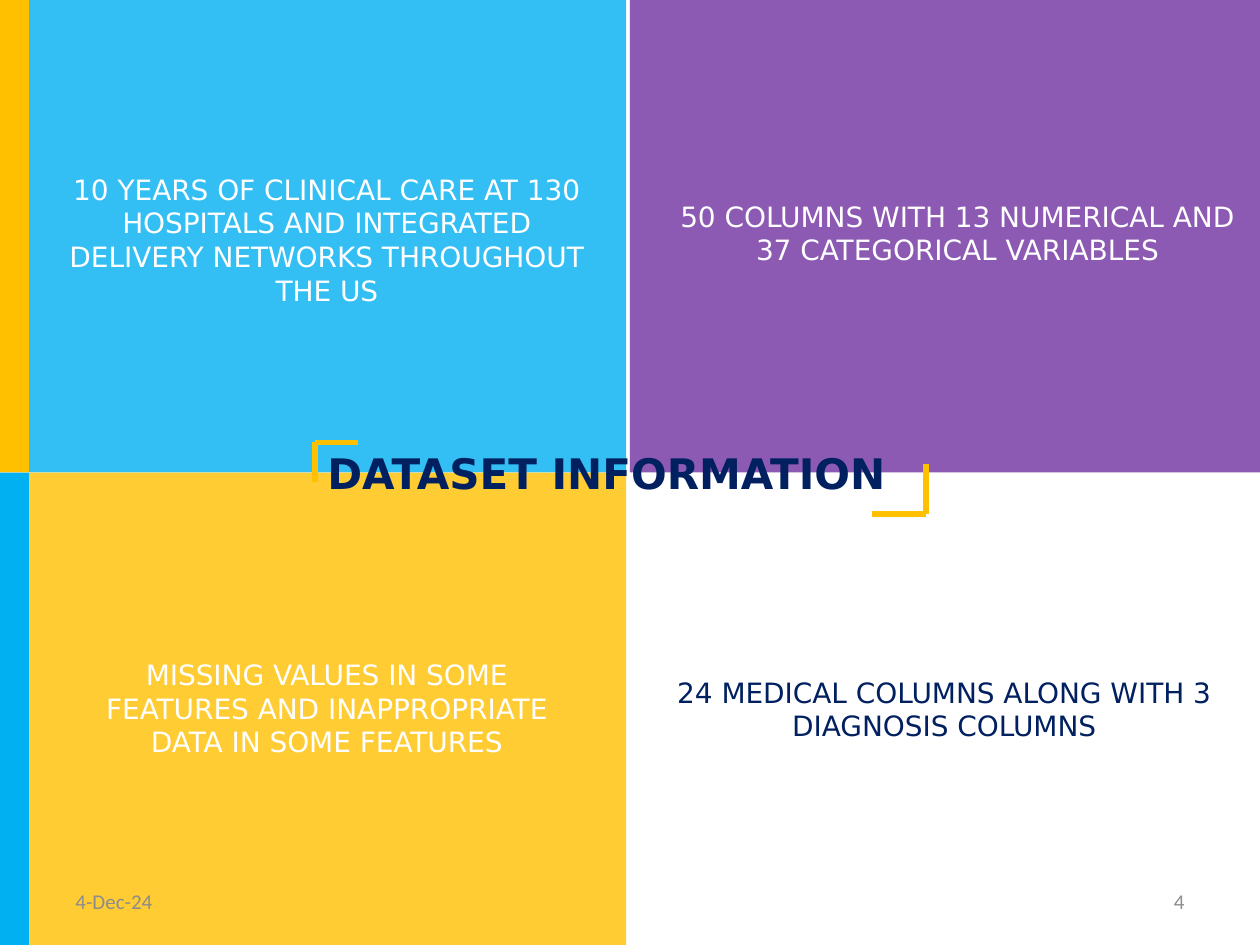
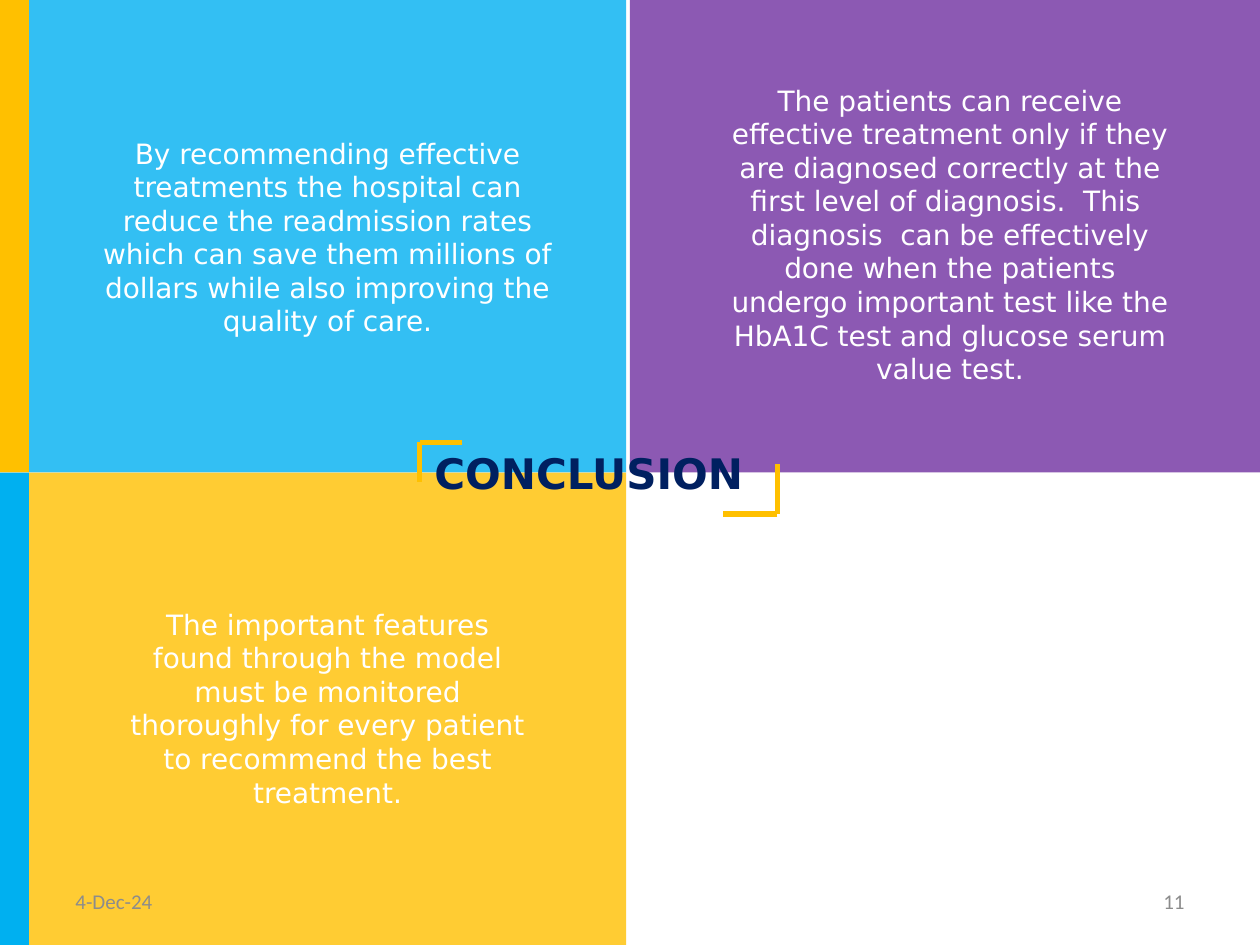
from lxml import etree
from pptx import Presentation
from pptx.dml.color import RGBColor
from pptx.enum.shapes import MSO_CONNECTOR, MSO_SHAPE
from pptx.enum.text import MSO_ANCHOR, PP_ALIGN
from pptx.oxml.ns import qn
from pptx.util import Pt

RECTANGLE = MSO_SHAPE.RECTANGLE
STRAIGHT = MSO_CONNECTOR.STRAIGHT
LEFT, CENTER, RIGHT = PP_ALIGN.LEFT, PP_ALIGN.CENTER, PP_ALIGN.RIGHT
TOP, MIDDLE = MSO_ANCHOR.TOP, MSO_ANCHOR.MIDDLE

# Shared look
AMBER, BLUE, PURPLE = "FFC000", "00B0F0", "7030A0"
NAVY, WHITE, GRAY = "002060", "FFFFFF", "8C8C8C"
BODY_FONT, FOOTER_FONT = "DejaVu Sans", "Calibri"

# Shared grid, in points
WIDTH, HEIGHT = 720, 540
HALF_WIDTH, HALF_HEIGHT = WIDTH / 2, HEIGHT / 2
BAND_WIDTH = 16.56
LEFT_PANEL_WIDTH = 341.28
TITLE_TOP, TITLE_HEIGHT = 252, 36
BRACKET_TOP, BRACKET_BOTTOM = 252.7, 293.8
FOOTER_MARGIN, FOOTER_TOP, FOOTER_WIDTH, FOOTER_HEIGHT = 36, 500.4, 168, 28.8
DATE = "4-Dec-24"

# Title and notes of each slide; boxes are left, top, width, height
SLIDES = [
    {
        "title": "DATASET INFORMATION", "title_left": 180, "title_width": 378,
        "bracket_left": 180, "bracket_right": 529.2, "number": "4",
        "notes": [
            ("10 YEARS OF CLINICAL CARE AT 130 HOSPITALS AND INTEGRATED "
             "DELIVERY NETWORKS THROUGHOUT THE US",
             WHITE, (26.6, 95, 320.4, 85)),
            ("50 COLUMNS WITH 13 NUMERICAL AND 37 CATEGORICAL VARIABLES",
             WHITE, (374.4, 110.2, 345.6, 46)),
            ("MISSING VALUES IN SOME FEATURES AND INAPPROPRIATE DATA IN "
             "SOME FEATURES",
             WHITE, (33.8, 372.2, 306, 65.5)),
            ("24 MEDICAL COLUMNS ALONG WITH 3 DIAGNOSIS COLUMNS",
             NAVY, (379.4, 382.3, 320.4, 46)),
        ],
    },
    {
        "title": "CONCLUSION", "title_left": 241.2, "title_width": 328.3,
        "bracket_left": 239.8, "bracket_right": 444.2, "number": "11",
        "notes": [
            ("By recommending effective treatments the hospital can reduce "
             "the readmission rates which can save them millions of dollars "
             "while also improving the quality of care.",
             WHITE, (46.1, 74.2, 282.2, 123.8)),
            ("The patients can receive effective treatment only if they are "
             "diagnosed correctly at the first level of diagnosis.  This  "
             "diagnosis  can be effectively done when the patients undergo "
             "important test like the HbA1C test and glucose serum value test.",
             WHITE, (406.1, 43.9, 273.6, 181.4)),
            ("The important features found through the model must be "
             "monitored thoroughly for every patient to recommend the best "
             "treatment.",
             WHITE, (64.1, 343.4, 246.2, 123.8)),
        ],
    },
]


def set_color(color_format, hex_color):
    color_format.rgb = RGBColor.from_string(hex_color)


def add_panel(slide, box, color, opacity=100):
    shape = slide.shapes.add_shape(RECTANGLE, *map(Pt, box))
    shape.shadow.inherit = False
    shape.line.fill.background()
    shape.fill.solid()
    set_color(shape.fill.fore_color, color)
    if opacity < 100:
        color_element = shape.fill._xPr.find(".//" + qn("a:srgbClr"))
        alpha = etree.SubElement(color_element, qn("a:alpha"))
        alpha.set("val", str(opacity * 1000))


def add_text(slide, text, box, size, color, font=BODY_FONT, bold=False,
             align=LEFT, anchor=TOP):
    frame = slide.shapes.add_textbox(*map(Pt, box)).text_frame
    frame.word_wrap = True
    frame.vertical_anchor = anchor
    paragraph = frame.paragraphs[0]
    paragraph.text = text
    paragraph.alignment = align
    paragraph.font.name = font
    paragraph.font.size = Pt(size)
    paragraph.font.bold = bold
    set_color(paragraph.font.color, color)


def add_bracket(slide, x, y, across, down):
    """Draw two arms that meet at the corner (x, y)."""
    group = slide.shapes.add_group_shape()
    for end_x, end_y in ((x, y + down), (x + across, y)):
        arm = group.shapes.add_connector(STRAIGHT, *map(Pt, (x, y, end_x, end_y)))
        arm.line.width = Pt(3)
        set_color(arm.line.color, AMBER)
        properties = arm._element.find(qn("p:spPr"))
        etree.SubElement(properties, qn("a:effectLst"))


def add_background(slide):
    # Translucent quadrants
    add_panel(slide, (HALF_WIDTH, 0, HALF_WIDTH, HALF_HEIGHT), PURPLE, 80)
    for top, panel_color, band_color in ((0, BLUE, AMBER),
                                         (HALF_HEIGHT, AMBER, BLUE)):
        add_panel(slide, (BAND_WIDTH, top, LEFT_PANEL_WIDTH, HALF_HEIGHT),
                  panel_color, 80)
        # Solid band at the left edge
        add_panel(slide, (0, top, BAND_WIDTH, HALF_HEIGHT), band_color)


def add_title(slide, content):
    box = (content["title_left"], TITLE_TOP, content["title_width"], TITLE_HEIGHT)
    add_text(slide, content["title"], box, 24, NAVY, bold=True)
    add_bracket(slide, content["bracket_left"], BRACKET_TOP, 24.5, 23)
    add_bracket(slide, content["bracket_right"], BRACKET_BOTTOM, -31, -28.8)


def add_footer(slide, number):
    right_box_left = WIDTH - FOOTER_MARGIN - FOOTER_WIDTH
    for text, left, align in ((DATE, FOOTER_MARGIN, LEFT),
                              (number, right_box_left, RIGHT)):
        add_text(slide, text, (left, FOOTER_TOP, FOOTER_WIDTH, FOOTER_HEIGHT),
                 12, GRAY, FOOTER_FONT, align=align, anchor=MIDDLE)


def main():
    presentation = Presentation()
    presentation.slide_width = Pt(WIDTH)
    presentation.slide_height = Pt(HEIGHT)
    blank_layout = presentation.slide_layouts[6]
    for content in SLIDES:
        slide = presentation.slides.add_slide(blank_layout)
        add_background(slide)
        add_title(slide, content)
        for text, color, box in content["notes"]:
            add_text(slide, text, box, 16, color, align=CENTER)
        add_footer(slide, content["number"])
    presentation.save("out.pptx")


if __name__ == "__main__":
    main()
